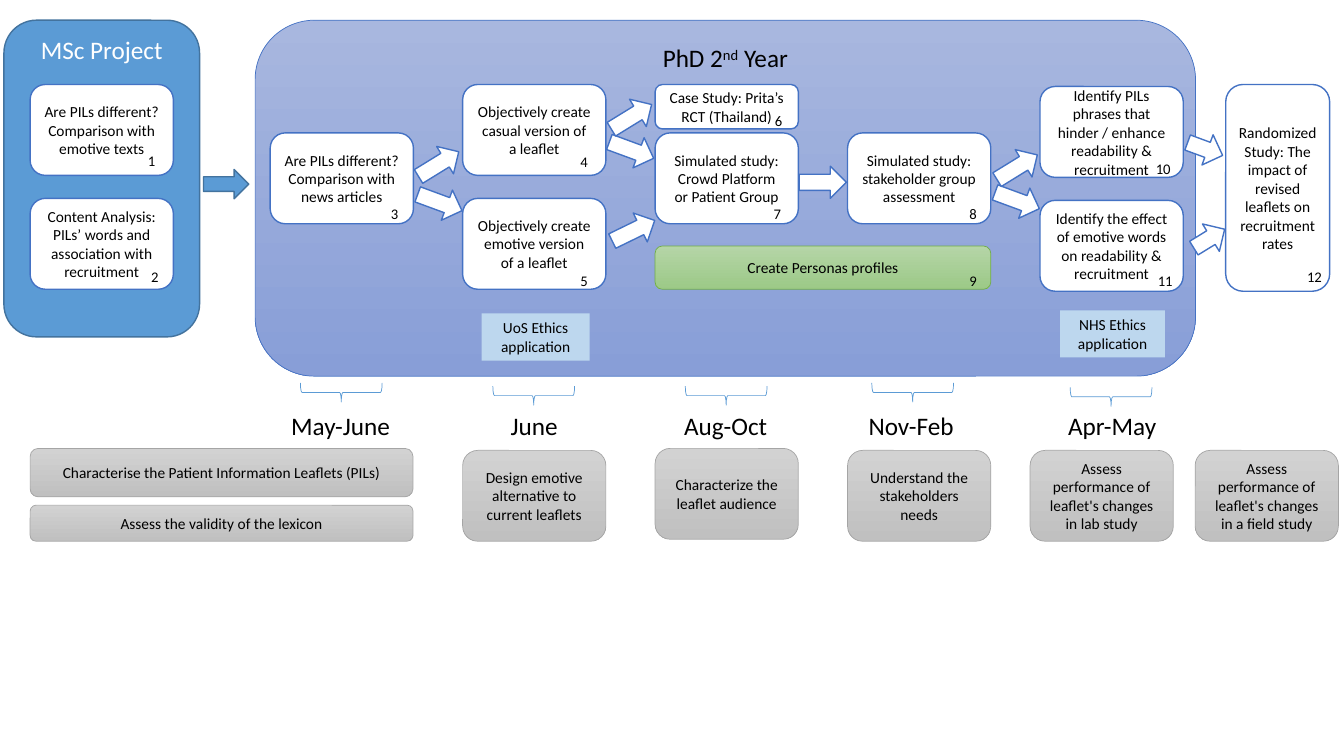
from dataclasses import dataclass

from pptx import Presentation
from pptx.dml.color import RGBColor
from pptx.enum.shapes import MSO_SHAPE
from pptx.enum.text import MSO_ANCHOR, PP_ALIGN
from pptx.util import Cm, Pt

ROUND = MSO_SHAPE.ROUNDED_RECTANGLE
RECT = MSO_SHAPE.RECTANGLE
ARROW = MSO_SHAPE.RIGHT_ARROW
BRACE = MSO_SHAPE.RIGHT_BRACE
TOP, MIDDLE = MSO_ANCHOR.TOP, MSO_ANCHOR.MIDDLE
LEFT, CENTER = PP_ALIGN.LEFT, PP_ALIGN.CENTER

BLACK = RGBColor(0x00, 0x00, 0x00)
WHITE = RGBColor(0xFF, 0xFF, 0xFF)
BLUE = RGBColor(0x44, 0x72, 0xC4)
SKY = RGBColor(0x5B, 0x9B, 0xD5)
NAVY = RGBColor(0x43, 0x73, 0x9E)
PALE = RGBColor(0xBD, 0xD7, 0xEE)
GRAY = RGBColor(0xA5, 0xA5, 0xA5)
GREEN = RGBColor(0x70, 0xAD, 0x47)
BLUE_FADE = (RGBColor(0xA8, 0xB7, 0xDF), RGBColor(0x88, 0x9E, 0xD7))
GRAY_FADE = (RGBColor(0xD2, 0xD2, 0xD2), RGBColor(0xC0, 0xC0, 0xC0))
GREEN_FADE = (RGBColor(0xB5, 0xD5, 0xA7), RGBColor(0x9C, 0xC9, 0x87))

FONT = "Calibri"
WIDE, HIGH = 3.61, 2.29
UP, DOWN = 328.4, 20.2
COLS = [round(6.81 + 4.85 * i, 2) for i in range(5)]


@dataclass(frozen=True)
class Look:
    fill: RGBColor | tuple[RGBColor, RGBColor] | None
    line: RGBColor | None
    weight: float = 1


@dataclass(frozen=True)
class Box:
    text: str
    x: float
    y: float
    w: float = WIDE
    h: float = HIGH
    pad: float = 0.25


@dataclass(frozen=True)
class Arrow:
    x: float
    y: float
    turn: float
    w: float = 1.19


@dataclass(frozen=True)
class Label:
    text: str
    x: float
    y: float
    w: float = 0.97
    pad: float = 0.25


@dataclass(frozen=True)
class Month:
    text: str
    x: float
    w: float
    brace_x: float
    brace_y: float


STEP = Look(WHITE, BLUE)
GOAL = Look(GRAY_FADE, GRAY, 0.5)
LINK = Look(SKY, NAVY)

STEPS = [
    Box("Are PILs different?\nComparison with emotive texts", 0.76, 2.13),
    Box("Are PILs different?\nComparison with news articles", COLS[0], 3.35),
    Box("Content Analysis: PILs’ words and association with recruitment", 0.76, 5),
    Box("Identify PILs phrases that hinder / enhance readability & recruitment", COLS[4], 2.18),
    Box("Objectively create casual version of a leaflet", COLS[1], 2.13),
    Box("Objectively create emotive version of a leaflet", COLS[1], 5),
    Box("Simulated study: Crowd Platform or Patient Group", COLS[2], 3.35),
    Box("Simulated study: stakeholder group assessment", COLS[3], 3.35),
    Box("Identify the effect of emotive words on readability &\nrecruitment", COLS[4], 5.05),
    Box("Case Study: Prita’s RCT (Thailand)", COLS[2], 2.13, h=1.12),
    Box("Randomized Study: The impact of revised leaflets on recruitment rates",
        30.89, 2.13, 2.62, 5.21, 0.2),
]
GOALS = [
    Box("Characterise the Patient Information Leaflets (PILs)", 0.76, 11.3, 9.65, 1.22),
    Box("Assess the validity of the lexicon", 0.76, 12.73, 9.65, 0.91),
    Box("Design emotive alternative to current leaflets", COLS[1], 11.35),
    Box("Characterize the leaflet audience", COLS[2], 11.3),
    Box("Understand the stakeholders needs", COLS[3], 11.35),
    Box("Assess performance of leaflet's changes in lab study", 25.96, 11.35),
    Box("Assess performance of leaflet's changes in a field study", 30.12, 11.35),
]
ETHICS = [
    Box("UoS Ethics application", 12.14, 7.9, 2.72, 1.19),
    Box("NHS Ethics application", 26.72, 7.82, 2.64, 1.19),
]
ARROWS = [
    Arrow(15.32, 3.38, DOWN), Arrow(15.37, 5.41, 334), Arrow(10.46, 3.73, UP),
    Arrow(10.49, 4.7, DOWN), Arrow(15.32, 2.54, UP), Arrow(20.14, 4.19, 0),
    Arrow(25.04, 4.65, DOWN), Arrow(25.04, 3.81, UP),
    Arrow(29.9, 3.35, DOWN, 0.94), Arrow(30.02, 5.61, UP, 0.91),
]
LABELS = [
    Label("1", 3.73, 3.71, 0.18, 0), Label("2", 3.81, 6.63, 0.18, 0),
    Label("3", 9.6, 5.03), Label("4", 14.38, 3.73), Label("5", 14.38, 6.73),
    Label("6", 19.28, 2.69), Label("7", 19.25, 5.03), Label("8", 24.18, 5.03),
    Label("9", 24.18, 6.73), Label("10", 28.88, 3.91), Label("11", 28.93, 6.73),
    Label("12", 32.69, 6.63),
]
MONTHS = [
    Month("May-June", 7.09, 3.05, 8.36, 8.86),
    Month("June", 12.62, 1.73, 13.21, 8.94),
    Month("Aug-Oct", 16.99, 2.62, 18.06, 8.94),
    Month("Nov-Feb", 21.64, 2.69, 22.76, 8.86),
    Month("Apr-May", 26.67, 2.77, 27.76, 8.97),
]


def write(shape, text: str, *, size: float = 11, color: RGBColor = BLACK,
          align=CENTER, anchor=MIDDLE, wrap: bool = True, pad: float = 0.25) -> None:
    frame = shape.text_frame
    frame.word_wrap = wrap
    frame.vertical_anchor = anchor
    frame.margin_left = frame.margin_right = Cm(pad)
    for i, line in enumerate(text.split("\n")):
        para = frame.add_paragraph() if i else frame.paragraphs[0]
        para.alignment = align
        for j, part in enumerate(line.split("^")):
            run = para.add_run()
            run.text = part
            run.font.name = FONT
            run.font.size = Pt(size)
            run.font.color.rgb = color
            if j % 2:
                run.font._element.set("baseline", "30000")


def draw(slide, kind, x: float, y: float, w: float, h: float, look: Look, turn: float = 0):
    shape = slide.shapes.add_shape(kind, Cm(x), Cm(y), Cm(w), Cm(h))
    shape.shadow.inherit = False
    shape.rotation = turn
    if look.fill is None:
        shape.fill.background()
    elif isinstance(look.fill, RGBColor):
        shape.fill.solid()
        shape.fill.fore_color.rgb = look.fill
    else:
        shape.fill.gradient()
        shape.fill.gradient_angle = 270
        for stop, color, place in zip(shape.fill.gradient_stops, look.fill, (0, 1)):
            stop.color.rgb = color
            stop.position = place
    if look.line is None:
        shape.line.fill.background()
    else:
        shape.line.color.rgb = look.line
        shape.line.width = Pt(look.weight)
    return shape


def panel(slide, box: Box, look: Look, kind=ROUND, **style) -> None:
    shape = draw(slide, kind, box.x, box.y, box.w, box.h, look)
    write(shape, box.text, pad=box.pad, **style)


def note(slide, text: str, x: float, y: float, w: float, h: float, **style) -> None:
    shape = slide.shapes.add_textbox(Cm(x), Cm(y), Cm(w), Cm(h))
    write(shape, text, align=LEFT, anchor=TOP, wrap=False, **style)


def main() -> None:
    deck = Presentation()
    deck.slide_width, deck.slide_height = Cm(33.87), Cm(19.05)
    slide = deck.slides.add_slide(deck.slide_layouts[6])

    panel(slide, Box("PhD 2^nd^ Year", 6.43, 0.51, 23.7, 8.97),
          Look(BLUE_FADE, BLUE, 0.5), size=18, anchor=TOP)
    panel(slide, Box("MSc Project", 0.1, 0.51, 4.93, 7.98), LINK,
          size=18, color=WHITE, anchor=TOP)
    for box in STEPS:
        panel(slide, box, STEP)
    for box in GOALS:
        panel(slide, box, GOAL)
    panel(slide, Box("Create Personas profiles", COLS[2], 6.2, 8.46, 1.09),
          Look(GREEN_FADE, GREEN, 0.5))
    draw(slide, ARROW, 5.13, 4.27, 1.14, 0.74, LINK)
    for item in ARROWS:
        draw(slide, ARROW, item.x, item.y, item.w, 0.81, STEP, item.turn)
    for label in LABELS:
        note(slide, label.text, label.x, label.y, label.w, 0.71, size=10.5, pad=label.pad)
    for box in ETHICS:
        panel(slide, box, Look(PALE, None), RECT, anchor=TOP)
    for month in MONTHS:
        draw(slide, BRACE, month.brace_x, month.brace_y, 0.48, 2.06, Look(None, SKY, 0.5), 90)
        note(slide, month.text, month.x, 10.21, month.w, 1.02, size=18)

    deck.save("out.pptx")


if __name__ == "__main__":
    main()
